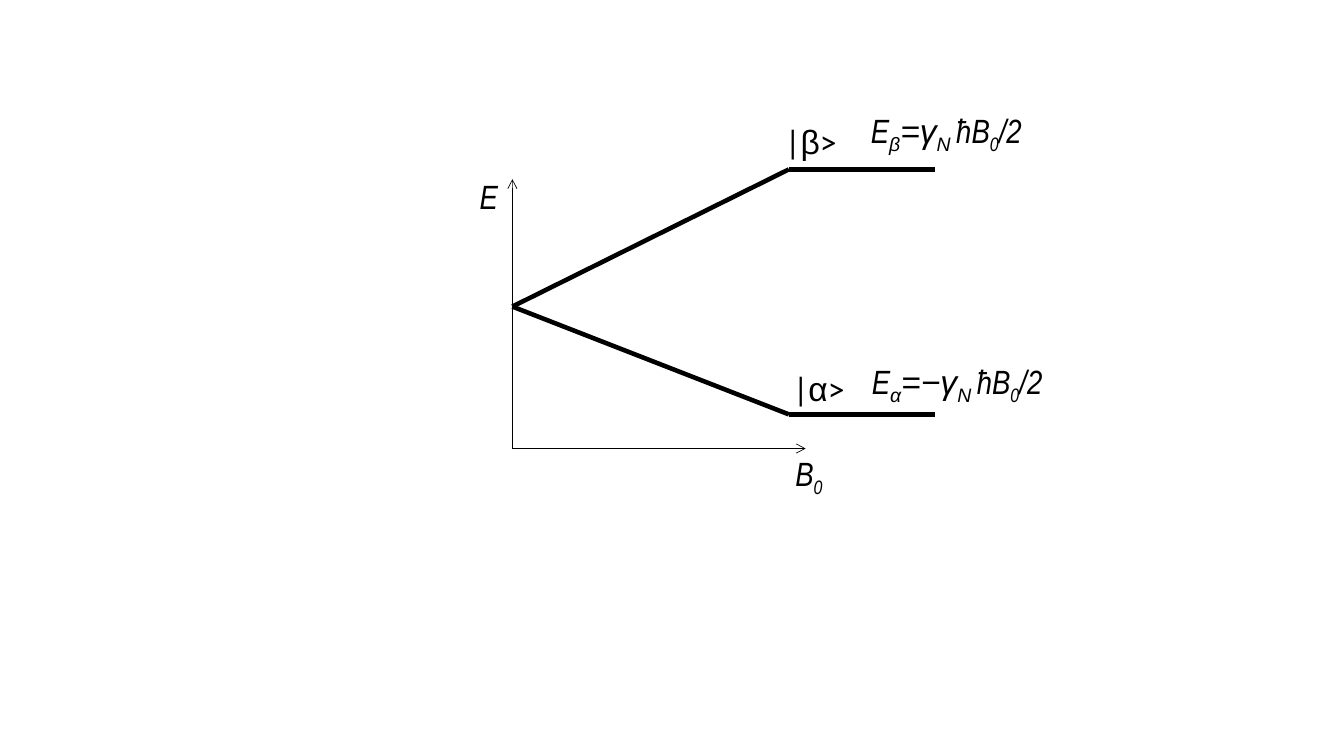
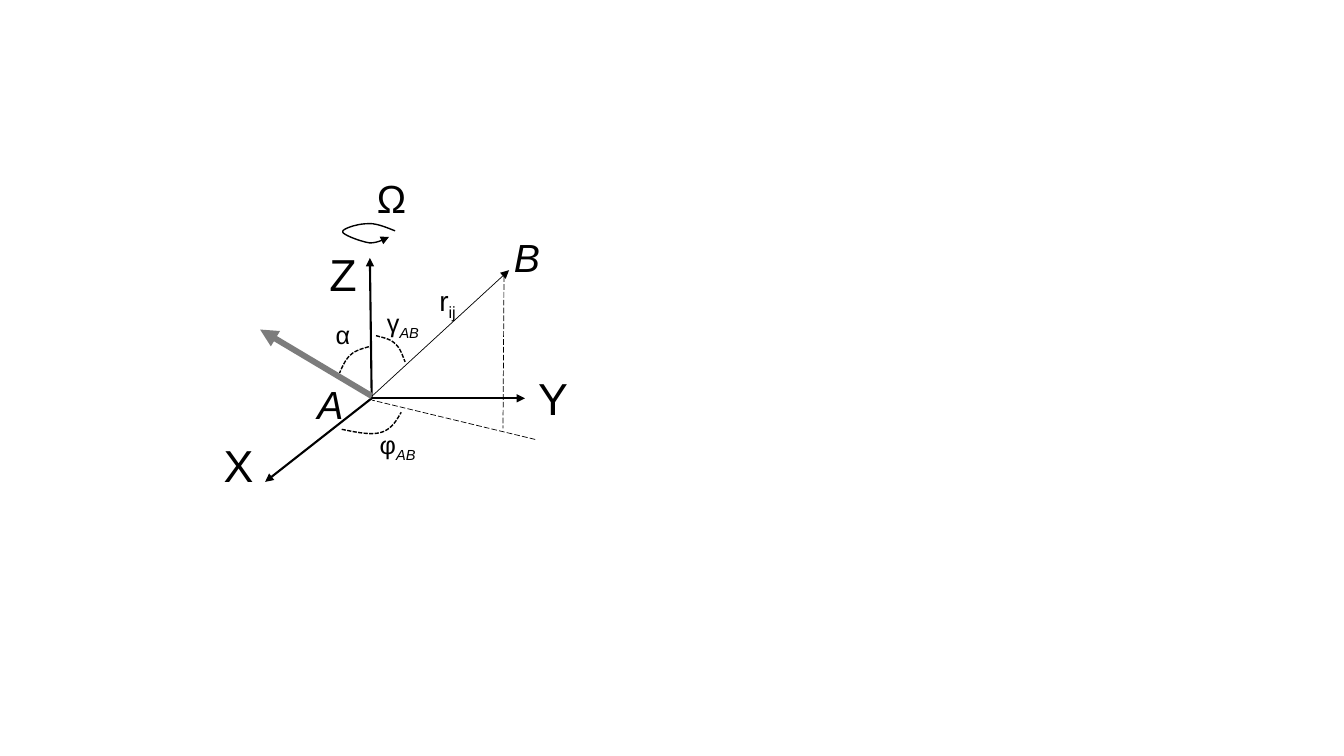
from lxml.etree import SubElement
from pptx import Presentation
from pptx.dml.color import RGBColor
from pptx.enum.dml import MSO_LINE
from pptx.enum.shapes import MSO_CONNECTOR
from pptx.enum.text import MSO_AUTO_SIZE
from pptx.oxml.ns import qn
from pptx.util import Pt

COLORS = {"ink": "000000", "gray": "7C7C7C"}
SUBSCRIPT = {"subscript": True}
NARROW = {"font": "Arial Narrow"}
CURVE_STEPS = 12


def add_run(paragraph, text, size=18, font="Arial", color="ink", italic=False, subscript=False):
    run = paragraph.add_run()
    run.text = text
    run.font.size = Pt(size)
    run.font.name = font
    run.font.italic = italic
    run.font.color.rgb = RGBColor.from_string(COLORS[color])
    if subscript:
        run._r.get_or_add_rPr().set("baseline", "-25000")


def bezier_point(points, t):
    """Point of a cubic curve at parameter t."""
    weights = ((1 - t) ** 3, 3 * t * (1 - t) ** 2, 3 * t ** 2 * (1 - t), t ** 3)
    return tuple(Pt(sum(weight * point[axis] for weight, point in zip(weights, points)))
                 for axis in (0, 1))


class Diagram:
    """Holds the presentation, its drawing style and the current slide."""

    def __init__(self):
        self.presentation = Presentation()
        self.presentation.slide_width = Pt(960)
        self.presentation.slide_height = Pt(540)
        self.slide = None

    def new_slide(self):
        blank_layout = self.presentation.slide_layouts[6]
        self.slide = self.presentation.slides.add_slide(blank_layout)

    def stroke(self, shape, width, color="ink", dash=None, arrow=None):
        shape.line.color.rgb = RGBColor.from_string(COLORS[color])
        shape.line.width = Pt(width)
        if dash is not None:
            shape.line.dash_style = dash
        properties = shape._element.spPr
        if arrow:
            SubElement(properties.find(qn("a:ln")), qn("a:tailEnd"), type=arrow)

    def line(self, start, end, width, **style):
        connector = self.slide.shapes.add_connector(
            MSO_CONNECTOR.STRAIGHT, *(Pt(value) for value in (*start, *end)))
        self.stroke(connector, width, **style)
        SubElement(connector._element.spPr, qn("a:effectLst"))

    def curve(self, points, width=1, **style):
        """Open curve: a start point, then three points per cubic section."""
        outline = [bezier_point(points[first:first + 4], step / CURVE_STEPS)
                   for first in range(0, len(points) - 1, 3)
                   for step in range(1, CURVE_STEPS + 1)]
        start_x, start_y = points[0]
        builder = self.slide.shapes.build_freeform(Pt(start_x), Pt(start_y))
        builder.add_line_segments(outline, close=False)
        shape = builder.convert_to_shape()
        shape.shadow.inherit = False
        shape.fill.background()
        self.stroke(shape, width, **style)

    def label(self, left, top, width, *runs, size=18, **style):
        """One-line label; each run is a text or a (text, format) pair."""
        height = size * 1.2 + 7.2
        box = self.slide.shapes.add_textbox(Pt(left), Pt(top), Pt(width), Pt(height))
        frame = box.text_frame
        frame.word_wrap = False
        frame.auto_size = MSO_AUTO_SIZE.SHAPE_TO_FIT_TEXT
        for run in runs:
            text, changes = (run, {}) if isinstance(run, str) else run
            add_run(frame.paragraphs[0], text, **{"size": size, **style, **changes})


def draw_energy_levels(diagram):
    diagram.new_slide()
    origin, split = (366, 320.4), (366, 219)
    level_left, level_right = 563.5, 668

    # Axes
    for tip in ((366, 128), (575.5, 320.4)):
        diagram.line(origin, tip, 0.5, arrow="arrow")
    diagram.label(335.5, 122.4, 31, "E", size=24, italic=True, **NARROW)
    diagram.label(561, 319.7, 39.6, "B", ("0", SUBSCRIPT), size=24, italic=True, **NARROW)

    # Upper and lower level, with state and energy
    levels = (
        ("β", "=γ", 121, (553.7, 82.8), (614.9, 74.9, 137.5)),
        ("α", "=−γ", 296, (559.4, 259.2), (615.6, 254.2, 151.9)),
    )
    for state, relation, height, state_place, energy_place in levels:
        diagram.line(split, (level_left, height), 3.25)
        diagram.line((level_left, height), (level_right, height), 3.25)
        diagram.label(*state_place, 53.3, "|", (state, {"font": "Arial"}), ">",
                      size=24, font="Calibri")
        diagram.label(*energy_place, ("E", NARROW), (state, SUBSCRIPT), relation,
                      ("Ν ", SUBSCRIPT), ("ħB", NARROW), ("0", {**NARROW, **SUBSCRIPT}),
                      ("/2", NARROW), size=24, italic=True)


def draw_rotating_frame(diagram):
    diagram.new_slide()
    origin = (265.5, 284.5)
    vector_start = (265.7, 283)

    # Axes: name, tip, label position and width
    axes = (
        ("Y", (375, 284.5), (377.3, 261.4, 36)),
        ("X", (189.4, 344.2), (152.6, 308.9, 36)),
        ("Z", (264.2, 184.3), (228.2, 172.8, 34.6)),
    )
    for name, tip, place in axes:
        diagram.line(origin, tip, 1.5, arrow="triangle")
        diagram.label(*place, name, size=32)

    # Vectors and projection
    diagram.line(vector_start, (185.8, 235.4), 4.25, color="gray", arrow="triangle")
    diagram.line(vector_start, (363.6, 193), 0.5, arrow="triangle")
    for start, end in (((360, 197.3), (359.3, 306)), ((382.3, 313.9), (265.7, 285.8))):
        diagram.line(start, end, 0.5, dash=MSO_LINE.LONG_DASH)

    # Angle arcs: alpha, gamma, phi
    arcs = (
        [(263.5, 247.7), (258.5, 249.1), (253.4, 250.6), (250.6, 253.4),
         (247, 256.3), (244.8, 261.4), (242.6, 266.4)],
        [(268.6, 239.8), (273.6, 241.2), (278.6, 241.9), (282.2, 245.5),
         (285.8, 248.4), (287.3, 253.4), (289.4, 258.5)],
        [(244.1, 306.7), (254.9, 308.9), (265, 311), (272.2, 308.9),
         (279.4, 306.7), (283, 301), (286.6, 294.5)],
    )
    for arc in arcs:
        diagram.curve(arc, dash=MSO_LINE.SQUARE_DOT)

    # Rotation around Z
    diagram.curve([(282.2, 164.9), (275, 162), (267.8, 159.1), (262.1, 159.8),
                   (255.6, 159.8), (244.1, 163.4), (244.8, 165.6),
                   (244.8, 167.8), (258.5, 172.8), (264.2, 173.5),
                   (269.3, 173.5), (273.6, 171.4), (277.9, 169.2)], arrow="triangle")
    diagram.label(262.1, 121, 36, "Ω", size=28)

    # Points, distance and angles
    diagram.label(219.6, 267.8, 33.1, "A", size=28, italic=True)
    diagram.label(360, 163.4, 33.1, "B", size=28, italic=True)
    diagram.label(306.7, 198.7, 27.4, "r", ("ij", SUBSCRIPT), size=20)
    diagram.label(232.6, 224.6, 25.9, "α")
    pair = ("ΑΒ", {"italic": True, **SUBSCRIPT})
    diagram.label(269.3, 216, 38.9, "γ", pair)
    diagram.label(264.2, 303.1, 41, "φ", pair)


def main():
    diagram = Diagram()
    draw_energy_levels(diagram)
    draw_rotating_frame(diagram)
    diagram.presentation.save("out.pptx")


if __name__ == "__main__":
    main()
